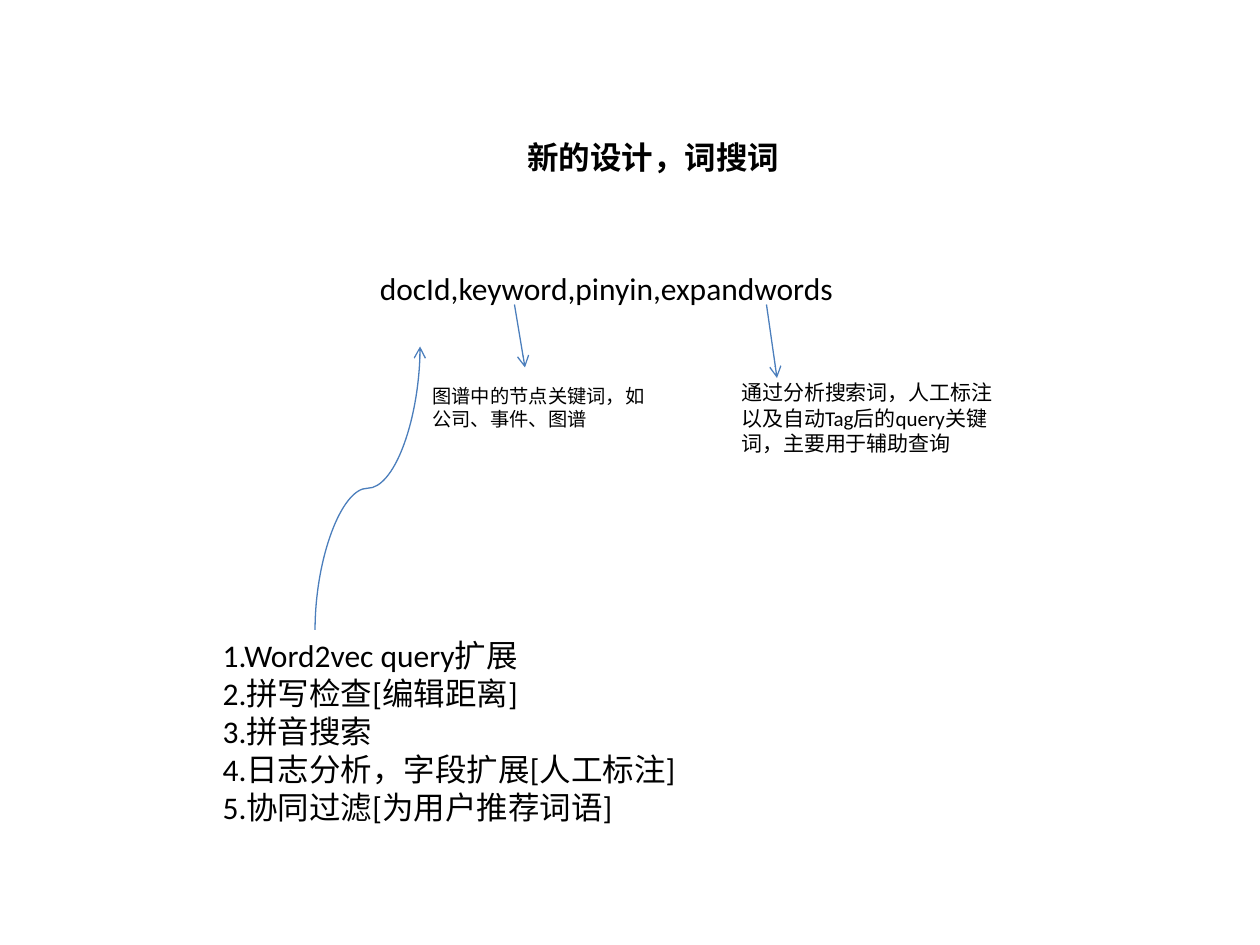
import pptx
import pptx.dml.color
import pptx.enum.shapes
import pptx.enum.text
import pptx.oxml
import pptx.oxml.ns
import pptx.util

COLORS = {"text": "000000", "arrow": "4B7EBC"}
FONT = "Calibri"
COLUMNS, ROWS = 120, 90
WIDTH, HEIGHT = pptx.util.Inches(10), pptx.util.Inches(7.5)
STRAIGHT = pptx.enum.shapes.MSO_CONNECTOR.STRAIGHT
CURVE = pptx.enum.shapes.MSO_CONNECTOR.CURVE


def grid_point(column, row):
    return round(WIDTH * column / COLUMNS), round(HEIGHT * row / ROWS)


def color(name):
    return pptx.dml.color.RGBColor.from_string(COLORS[name])


def fill_text(shape, box, text, size, bold=False):
    shape.left, shape.top = grid_point(*box[:2])
    shape.width, shape.height = grid_point(*box[2:])
    text_frame = shape.text_frame
    text_frame.text = text
    text_frame.word_wrap = True
    text_frame.auto_size = pptx.enum.text.MSO_AUTO_SIZE.SHAPE_TO_FIT_TEXT
    text_frame.vertical_anchor = pptx.enum.text.MSO_ANCHOR.TOP
    for paragraph in text_frame.paragraphs:
        paragraph.alignment = pptx.enum.text.PP_ALIGN.LEFT
        paragraph.space_before = pptx.util.Pt(0)
        for run in paragraph.runs:
            run.font.name = FONT
            run.font.size = pptx.util.Pt(size)
            run.font.bold = bold
            run.font.color.rgb = color("text")


def add_text(slide, box, text, size):
    fill_text(slide.shapes.add_textbox(0, 0, 0, 0), box, text, size)


def add_arrow(slide, kind, start, end):
    connector = slide.shapes.add_connector(kind, *grid_point(*start), *grid_point(*end))
    connector.line.color.rgb = color("arrow")
    connector.line.width = pptx.util.Pt(0.75)
    line = connector.line._get_or_add_ln()
    line.append(pptx.oxml.parse_xml(f'<a:tailEnd {pptx.oxml.ns.nsdecls("a")} type="arrow"/>'))
    effects = pptx.oxml.parse_xml(f'<a:effectLst {pptx.oxml.ns.nsdecls("a")}/>')
    connector._element.spPr.append(effects)
    return connector


def add_rising_curve(slide, start, end):
    middle_column, middle_row = (start[0] + end[0]) / 2, (start[1] + end[1]) / 2
    half_length, half_breadth = (start[1] - end[1]) / 2, (end[0] - start[0]) / 2
    connector = add_arrow(
        slide, CURVE,
        (middle_column + half_length, middle_row + half_breadth),
        (middle_column - half_length, middle_row - half_breadth),
    )
    connector._element.spPr.find(pptx.oxml.ns.qn("a:xfrm")).set("rot", "5400000")


def add_field_note(slide, box, text, size, arrow_start, arrow_end):
    add_arrow(slide, STRAIGHT, arrow_start, arrow_end)
    add_text(slide, box, text, size)


def add_methods(slide, box, methods):
    left, top = box[:2]
    add_rising_curve(slide, (left + 10, top), (left + 20, top - 27))
    body = slide.placeholders[1]
    fill_text(body, box, "\n".join(methods), 18)
    for paragraph in body.text_frame.paragraphs:
        properties = paragraph._p.get_or_add_pPr()
        properties.set("marL", "0")
        properties.set("indent", "0")
        properties.append(pptx.oxml.parse_xml(f'<a:buNone {pptx.oxml.ns.nsdecls("a")}/>'))


def main():
    presentation = pptx.Presentation()
    presentation.slide_width, presentation.slide_height = WIDTH, HEIGHT
    slide = presentation.slides.add_slide(presentation.slide_layouts[1])
    fill_text(slide.shapes.title, (49, 12.5, 36, 5), "新的设计，词搜词", 18, bold=True)
    add_text(slide, (35, 25, 61, 4.8), "docId,keyword,pinyin,expandwords", 18)
    add_methods(slide, (20, 60, 69, 19.4), [
        "1.Word2vec query扩展",
        "2.拼写检查[编辑距离]",
        "3.拼音搜索",
        "4.日志分析，字段扩展[人工标注]",
        "5.协同过滤[为用户推荐词语]",
    ])
    add_field_note(slide, (40, 36, 24, 5.6), "图谱中的节点关键词，如公司、事件、图谱",
                   11, (49, 29), (50, 35))
    add_field_note(slide, (69.4, 35.6, 27, 8.5),
                   "通过分析搜索词，人工标注以及自动Tag后的query关键词，主要用于辅助查询",
                   12, (73, 29), (74, 36))
    presentation.save("out.pptx")


if __name__ == "__main__":
    main()
